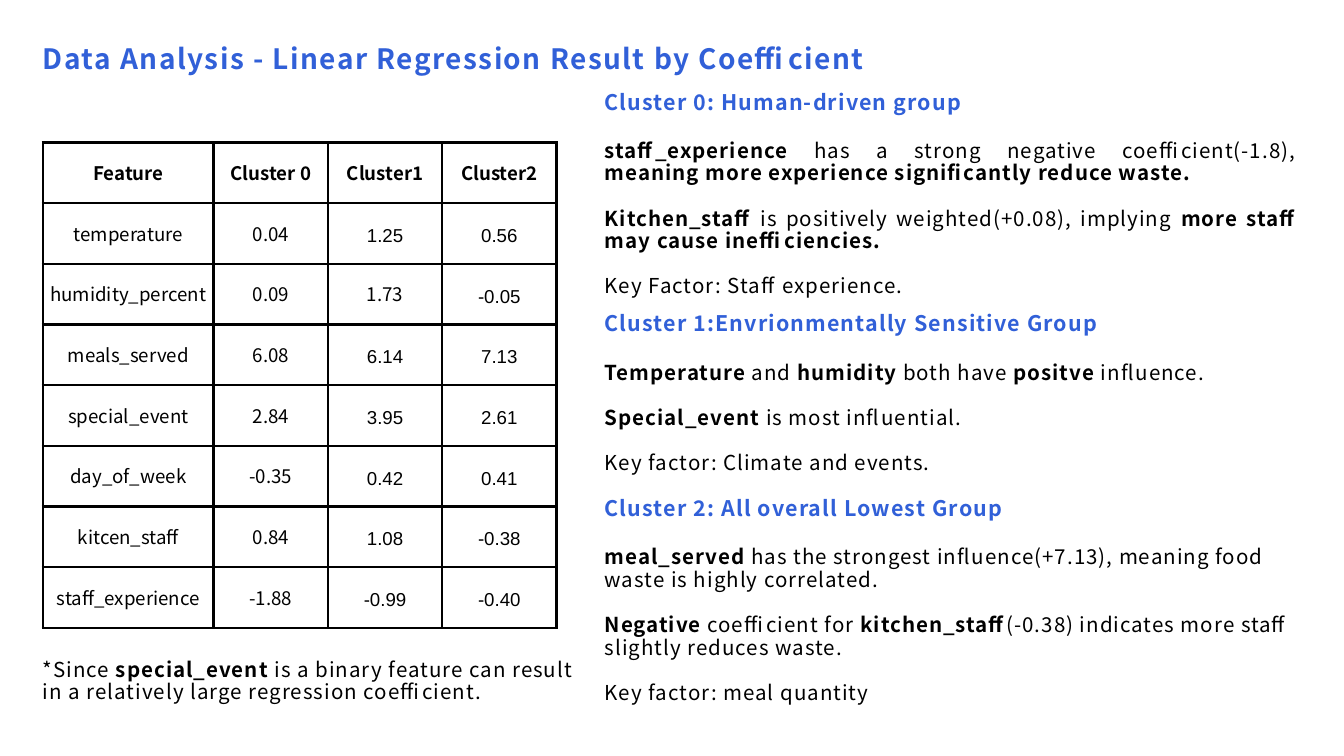
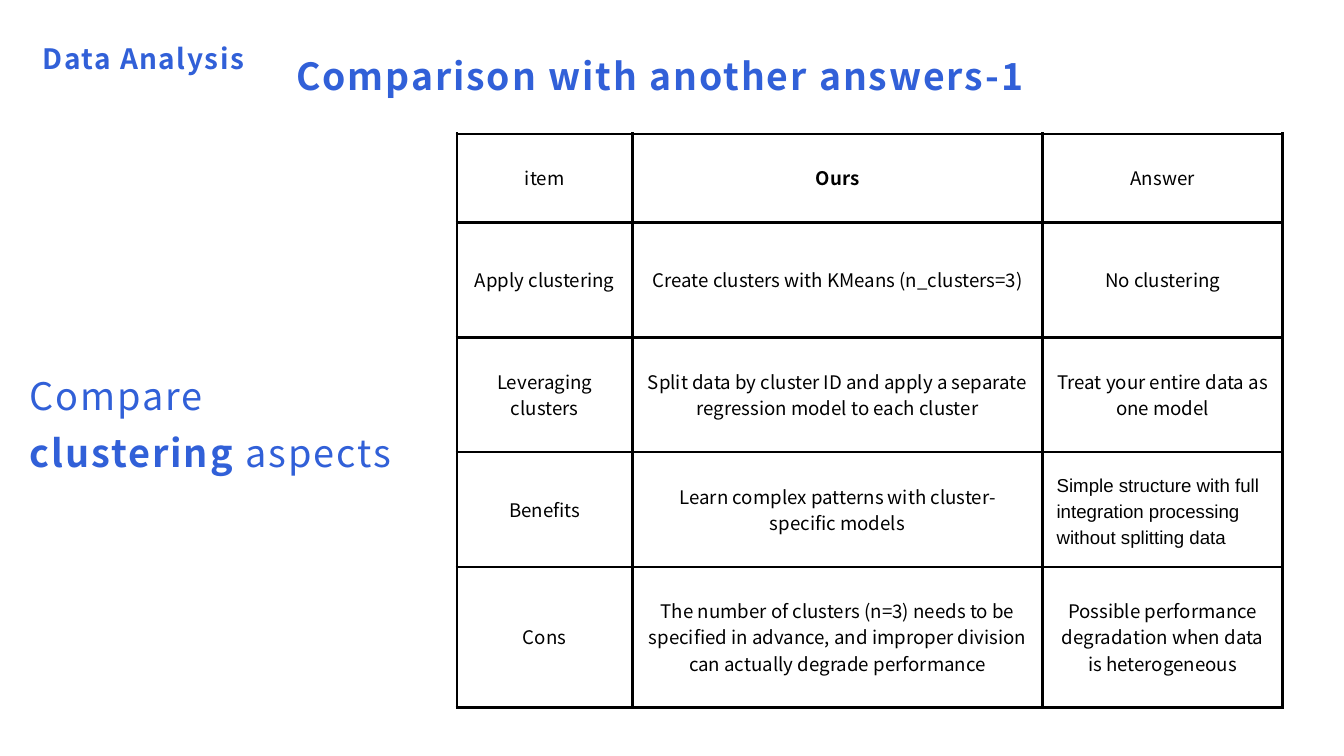
from lxml import etree
from pptx import Presentation
from pptx.dml.color import RGBColor
from pptx.enum.text import MSO_ANCHOR, MSO_AUTO_SIZE, PP_ALIGN
from pptx.oxml.ns import qn
from pptx.util import Pt

LEFT, CENTER, JUSTIFY = PP_ALIGN.LEFT, PP_ALIGN.CENTER, PP_ALIGN.JUSTIFY
TOP, MIDDLE = MSO_ANCHOR.TOP, MSO_ANCHOR.MIDDLE
GROW = MSO_AUTO_SIZE.SHAPE_TO_FIT_TEXT
TITLE_ONLY = 5

# Shared style
BLUE, BLACK = "3160D8", "000000"
SANS, ARIAL = "Noto Sans CJK SC", "Arial"
SECTION = dict(size=30, color=BLUE, tracking=1.6, spacing=33)
HEADLINE = dict(size=40, color=BLUE, tracking=2.1, spacing=44, align=CENTER)
ASPECT = dict(size=40.6, color=BLUE, tracking=2.1, spacing=61)
HEADING = dict(size=23, color=BLUE, tracking=1.2, spacing=25.3)
BODY = dict(size=22, color=BLACK, tracking=1.1, spacing=24.2)
CELL = dict(size=20, color=BLACK, spacing=28)
SECTION_LEFT, SECTION_TOP, SECTION_HEIGHT = 46, 47.5, 34.5
HEADING_GAP, BODY_GAP = 27.4, 24.2

# Slide 1 content
COEFFICIENTS = [
    ["**Feature**", "**Cluster 0**", "**Cluster1**", "**Cluster2**"],
    ["temperature", "0.04", "1.25", "0.56"],
    ["humidity_percent", "0.09", "1.73", "-0.05"],
    ["meals_served", "6.08", "6.14", "7.13"],
    ["special_event", "2.84", "3.95", "2.61"],
    ["day_of_week", "-0.35", "0.42", "0.41"],
    ["kitcen_staff", "0.84", "1.08", "-0.38"],
    ["staff_experience", "-1.88", "-0.99", "-0.40"],
]
# (top, width, height, alignment, heading, findings)
CLUSTERS = [
    (97.2, 741.6, 220.3, JUSTIFY, "**Cluster 0: Human-driven group**", [
        "**staff_experience** has a strong negative coefficient(-1.8), "
        "**meaning more experience significantly reduce waste.**",
        "**Kitchen_staff** is positively weighted(+0.08), implying "
        "**more staff may cause inefficiencies.**",
        "Key Factor: Staff experience."]),
    (334.8, 679.7, 196.6, JUSTIFY, "**Cluster 1:Envrionmentally Sensitive Group**", [
        "**Temperature** and **humidity** both have **positve** influence.",
        "**Special_event** is most influential.",
        "Key factor: Climate and events."]),
    (532.8, 741.6, 220.3, LEFT, "**Cluster 2: All overall Lowest Group**", [
        "**meal_served** has the strongest influence(+7.13), "
        "meaning food waste is highly correlated.",
        "**Negative** coefficient for **kitchen_staff**(-0.38) indicates "
        "more staff slightly reduces waste.",
        "Key factor: meal quantity"]),
]
BINARY_NOTE = ("*Since **special_event** is a binary feature can result in a "
               "relatively large regression coefficient.")

# Slide 2 content
COMPARISON = [
    ["item", "**Ours**", "Answer"],
    ["Apply clustering", "Create clusters with KMeans (n_clusters=3)", "No clustering"],
    ["Leveraging clusters",
     "Split data by cluster ID and apply a separate regression model to each cluster",
     "Treat your entire data as one model"],
    ["Benefits", "Learn complex patterns with cluster-specific models",
     "Simple structure with full integration processing without splitting data"],
    ["Cons",
     "The number of clusters (n=3) needs to be specified in advance, "
     "and improper division can actually degrade performance",
     "Possible performance degradation when data is heterogeneous"],
]


def rgb(value):
    return RGBColor.from_string(value)


def write_paragraph(paragraph, text, size, color, spacing, tracking=0,
                    align=LEFT, font=SANS, before=0):
    """Write text run by run; parts between double asterisks are bold."""
    paragraph.alignment = align
    paragraph.line_spacing = Pt(spacing)
    paragraph.space_before = Pt(before)
    for index, part in enumerate(text.split("**")):
        if not part:
            continue
        run = paragraph.add_run()
        run.text = part
        run.font.name = font
        run.font.size = Pt(size)
        run.font.bold = index % 2 == 1
        run.font.color.rgb = rgb(color)
        if tracking:
            run.font._element.set("spc", str(round(tracking * 100)))


def fill_text(shape, box, paragraphs):
    """Place a text shape and write (text, style) pairs into it."""
    shape.left, shape.top, shape.width, shape.height = map(Pt, box)
    frame = shape.text_frame
    frame.word_wrap = True
    frame.auto_size = GROW
    frame.vertical_anchor = TOP
    frame.margin_left = frame.margin_right = frame.margin_top = frame.margin_bottom = 0
    for index, (text, style) in enumerate(paragraphs):
        paragraph = frame.add_paragraph() if index else frame.paragraphs[0]
        write_paragraph(paragraph, text, **style)


def add_text(slide, box, paragraphs):
    fill_text(slide.shapes.add_textbox(0, 0, 0, 0), box, paragraphs)


def add_borders(cell):
    properties = cell._tc.get_or_add_tcPr()
    for side in ("a:lnL", "a:lnR", "a:lnT", "a:lnB"):
        line = etree.SubElement(properties, qn(side), w=str(Pt(3)))
        fill = etree.SubElement(line, qn("a:solidFill"))
        etree.SubElement(fill, qn("a:srgbClr"), val=BLACK)


def add_grid(slide, left, top, widths, heights, rows, margin, cell_style):
    """Add a bordered table; cell_style(row, column) gives style changes."""
    table = slide.shapes.add_table(
        len(heights), len(widths), Pt(left), Pt(top),
        Pt(sum(widths)), Pt(sum(heights))).table
    table.first_row = table.horz_banding = False
    for column, width in zip(table.columns, widths):
        column.width = Pt(width)
    for row, height in zip(table.rows, heights):
        row.height = Pt(height)
    for row_index, row in enumerate(rows):
        for column_index, text in enumerate(row):
            cell = table.cell(row_index, column_index)
            add_borders(cell)
            cell.fill.background()
            cell.vertical_anchor = MIDDLE
            cell.margin_left = cell.margin_right = Pt(margin)
            cell.margin_top = cell.margin_bottom = Pt(margin)
            style = {**CELL, "align": CENTER, **cell_style(row_index, column_index)}
            write_paragraph(cell.text_frame.paragraphs[0], text, **style)


def section_box(width):
    return SECTION_LEFT, SECTION_TOP, width, SECTION_HEIGHT


def coefficient_style(row, column):
    in_arial = row > 0 and column > 1 and (row, column) != (2, 2)
    return {"font": ARIAL} if in_arial else {}


def comparison_style(row, column):
    return {"font": ARIAL, "align": LEFT} if (row, column) == (3, 2) else {}


def build_regression_slide(slide):
    add_grid(slide, 46, 152.6, [183] + [122.4] * 3, [65] * len(COEFFICIENTS),
             COEFFICIENTS, 0, coefficient_style)
    fill_text(slide.shapes.title, section_box(885), [
        ("**Data Analysis - Linear Regression Result by Coefficient**", SECTION)])
    for top, width, height, align, heading, findings in CLUSTERS:
        paragraphs = [(heading, HEADING)]
        for index, finding in enumerate(findings):
            gap = BODY_GAP if index else HEADING_GAP
            paragraphs.append((finding, {**BODY, "align": align, "before": gap}))
        add_text(slide, (648, top, width, height), paragraphs)
    add_text(slide, (46, 705.6, 587.5, 49), [(BINARY_NOTE, BODY)])


def build_comparison_slide(slide):
    add_grid(slide, 489.6, 143.3, [188, 439.5, 257.3], [95] + [123.1] * 3 + [150.5],
             COMPARISON, 15, comparison_style)
    add_text(slide, section_box(218.2), [("**Data Analysis**", SECTION)])
    fill_text(slide.shapes.title, (315.4, 60.5, 784, 44.6), [
        ("**Comparison with another answers-1**", HEADLINE)])
    add_text(slide, (31.7, 387.4, 409, 117.4), [
        ("Compare", ASPECT), ("**clustering** aspects", ASPECT)])


def main():
    presentation = Presentation()
    presentation.slide_width, presentation.slide_height = Pt(1440), Pt(810)
    layout = presentation.slide_layouts[TITLE_ONLY]
    for build in (build_regression_slide, build_comparison_slide):
        build(presentation.slides.add_slide(layout))
    presentation.save("out.pptx")


if __name__ == "__main__":
    main()
